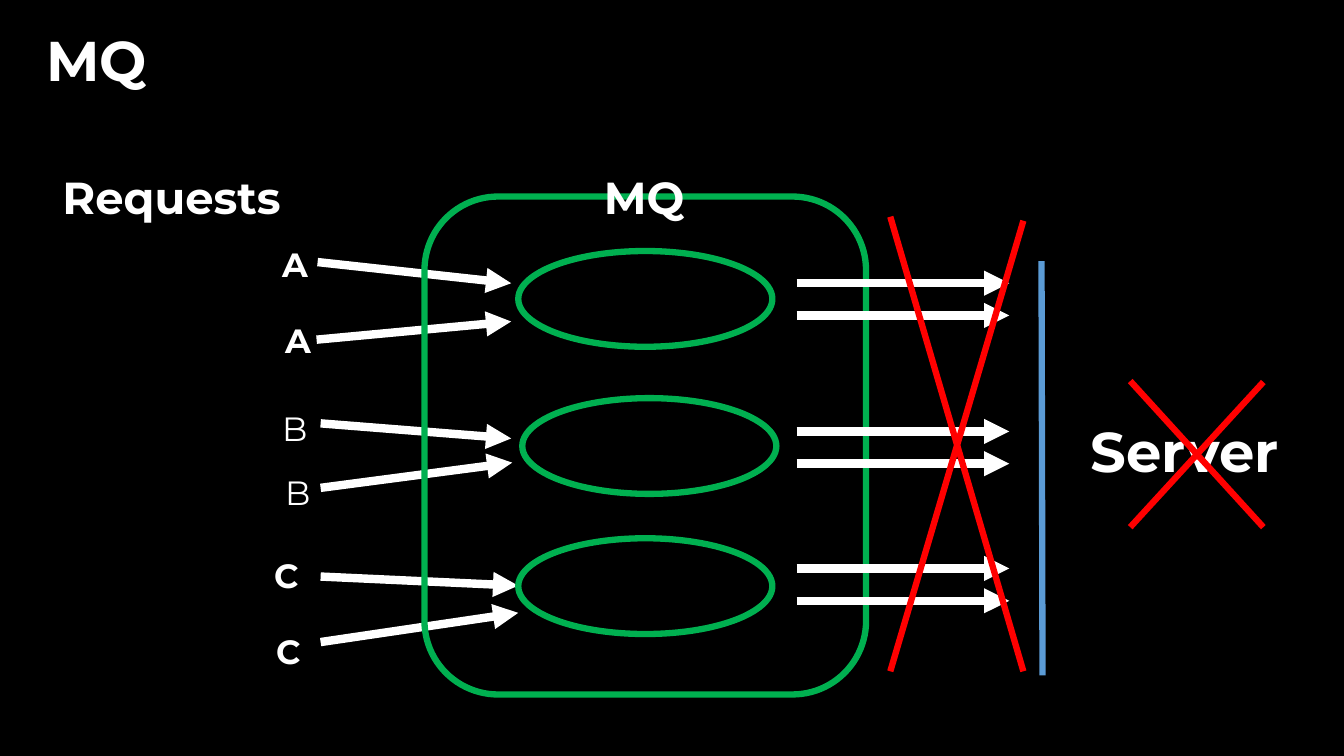
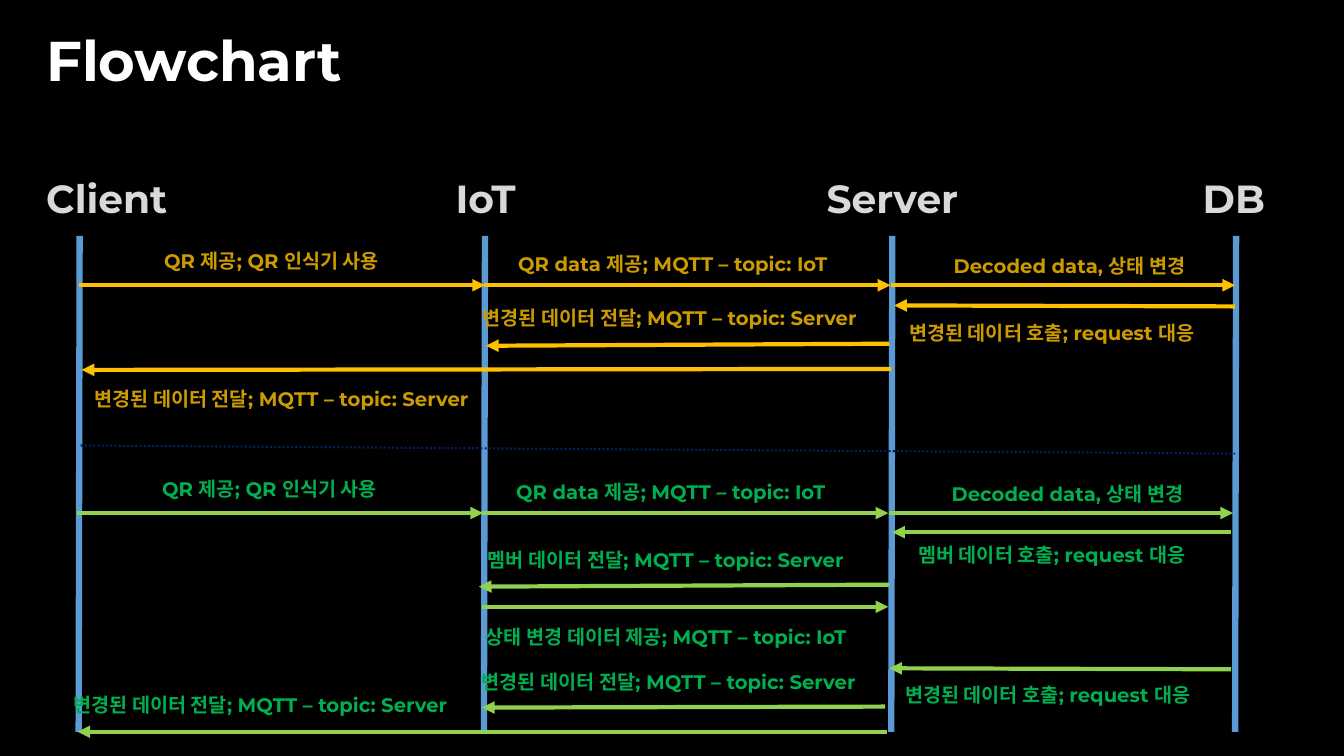
from pptx import Presentation
from pptx.dml.color import RGBColor
from pptx.enum.dml import MSO_LINE
from pptx.enum.shapes import MSO_CONNECTOR, MSO_SHAPE
from pptx.enum.text import MSO_ANCHOR, PP_ALIGN
from pptx.oxml.ns import qn
from pptx.util import Inches, Pt
from lxml import etree

STRAIGHT = MSO_CONNECTOR.STRAIGHT
ROUNDED = MSO_SHAPE.ROUNDED_RECTANGLE
ELLIPSE = MSO_SHAPE.OVAL
DOTTED = MSO_LINE.ROUND_DOT
LEFT = PP_ALIGN.LEFT
TOP = MSO_ANCHOR.TOP

FONT = "Montserrat"
TITLE_ONLY = 5
COLORS = {
    "background": "000000",
    "white": "FFFFFF",
    "heading": "D9D9D9",
    "blue": "5B9BD5",
    "navy": "002060",
    "green": "00B050",
    "red": "FF0000",
    "amber": "FFC000",
    "dark_amber": "CC9B00",
    "lime": "92D050",
}
DELIVERED = "변경된 데이터 전달; MQTT – topic: Server"
CALLED = "변경된 데이터 호출; request 대응"


def color(name):
    return RGBColor.from_string(COLORS[name])


def write(shape, text, size, color_name, bold=True):
    frame = shape.text_frame
    frame.word_wrap = True
    frame.vertical_anchor = TOP
    frame.text = text
    paragraph = frame.paragraphs[0]
    paragraph.alignment = LEFT
    font = paragraph.runs[0].font
    font.name = FONT
    font.size = Pt(size)
    font.bold = bold
    font.color.rgb = color(color_name)


def add_label(slide, text, left, top, width, height, size, color_name, bold=True):
    box = slide.shapes.add_textbox(Inches(left), Inches(top), Inches(width), Inches(height))
    write(box, text, size, color_name, bold)


def add_line(slide, start, end, color_name, width, arrow=False, dash=None):
    connector = slide.shapes.add_connector(
        STRAIGHT, *(Inches(value) for value in (*start, *end)))
    connector.line.color.rgb = color(color_name)
    connector.line.width = Pt(width)
    if dash is not None:
        connector.line.dash_style = dash
    properties = connector.element.spPr
    if arrow:
        outline = properties.find(qn("a:ln"))
        etree.SubElement(outline, qn("a:tailEnd"), type="triangle")
    etree.SubElement(properties, qn("a:effectLst"))


def add_outline(slide, kind, left, top, width, height):
    shape = slide.shapes.add_shape(
        kind, Inches(left), Inches(top), Inches(width), Inches(height))
    shape.shadow.inherit = False
    shape.fill.background()
    shape.line.color.rgb = color("green")
    shape.line.width = Pt(4.5)


def add_cross(slide, left, top, right, bottom, drop):
    falling, rising = drop
    add_line(slide, (right, top + rising), (left, bottom), "red", 4.5)
    add_line(slide, (left, top + falling), (right, bottom), "red", 4.5)


def add_titled_slide(presentation, title):
    slide = presentation.slides.add_slide(presentation.slide_layouts[TITLE_ONLY])
    write(slide.shapes.title, title, 40, "white")
    return slide


def set_template(presentation):
    presentation.slide_width = Inches(13.33)
    presentation.slide_height = Inches(7.5)
    fill = presentation.slide_master.background.fill
    fill.solid()
    fill.fore_color.rgb = color("background")
    title = presentation.slide_layouts[TITLE_ONLY].placeholders[0]
    title.left, title.top = Inches(0.36), Inches(0.2)
    title.width, title.height = Inches(3.41), Inches(0.77)


def build_queue_slide(presentation):
    slide = add_titled_slide(presentation, "MQ")

    requests = [
        ("A", 2.7, 2.37, (3.15, 2.6), (5.07, 2.81)),
        ("A", 2.73, 3.12, (3.14, 3.37), (5.07, 3.19)),
        ("B", 2.7, 4, (3.18, 4.2), (5.07, 4.35)),
        ("B", 2.73, 4.63, (3.18, 4.84), (5.08, 4.59)),
        ("C", 2.62, 5.46, (3.18, 5.72), (5.14, 5.81)),
        ("C", 2.64, 6.21, (3.18, 6.37), (5.14, 6.08)),
    ]
    for name, left, top, start, end in requests:
        add_line(slide, start, end, "white", 6, arrow=True)
        add_label(slide, name, left, top, 0.41, 0.5, 24, "white", bold=name != "B")

    add_label(slide, "Requests", 0.52, 1.63, 3.18, 0.64, 32, "white")
    add_label(slide, "Server", 10.72, 4.08, 2.52, 0.77, 40, "white")
    add_line(slide, (10.33, 2.59), (10.34, 6.7), "blue", 4.5)

    add_outline(slide, ROUNDED, 4.21, 1.95, 4.38, 4.94)
    add_label(slide, "MQ", 5.89, 1.63, 1.02, 0.64, 32, "white")
    queues = [(5.14, 2.49, 2.81), (5.18, 3.95, 4.28), (5.14, 5.34, 5.64)]
    for left, top, arrow_top in queues:
        add_outline(slide, ELLIPSE, left, top, 2.52, 0.95)
        for y in (arrow_top, arrow_top + 0.32):
            add_line(slide, (7.9, y), (10.01, y), "white", 6, arrow=True)

    add_cross(slide, 11.21, 3.78, 12.53, 5.23, (0, 0.01))
    add_cross(slide, 8.83, 2.15, 10.15, 6.66, (0, 0.04))


def add_messages(slide, arrows, labels, line_color, text_color):
    for start, end in arrows:
        add_line(slide, start, end, line_color, 3, arrow=True)
    for text, left, top, width in labels:
        add_label(slide, text, left, top, width, 0.34, 14, text_color)


def add_forward_messages(slide, shift, drop, line_color, text_color):
    y = 2.83 + drop
    spans = [(0.78, 4.81), (4.8, 8.83), (8.84, 12.25)]
    arrows = [((start + shift, y), (end + shift, y)) for start, end in spans]
    labels = [
        ("QR 제공; QR 인식기 사용", 1.53 + shift, 2.42 + drop, 3.29),
        ("QR data 제공; MQTT – topic: IoT", 5.04 + shift, 2.45 + drop, 3.97),
        ("Decoded data, 상태 변경", 9.36 + shift, 2.47 + drop, 2.74),
    ]
    add_messages(slide, arrows, labels, line_color, text_color)


def build_flowchart_slide(presentation):
    slide = add_titled_slide(presentation, "Flowchart")

    participants = [
        ("Client", 0.36, 1.73, 0.79),
        ("IoT", 4.42, 1.04, 4.81),
        ("Server", 8.1, 1.76, 8.85),
        ("DB", 11.83, 0.88, 12.26),
    ]
    for name, left, width, x in participants:
        add_label(slide, name, left, 1.68, width, 0.57, 28, "heading")
        add_line(slide, (x, 2.34), (x - 0.01, 7.26), "blue", 4.5)

    amber_arrows = [
        ((12.25, 3.04), (8.87, 3.03)),
        ((8.82, 3.41), (4.82, 3.43)),
        ((8.84, 3.66), (0.81, 3.67)),
    ]
    amber_labels = [
        (CALLED, 8.92, 3.13, 3.34),
        (DELIVERED, 4.69, 2.99, 4.26),
        (DELIVERED, 0.84, 3.79, 4.26),
    ]
    add_forward_messages(slide, 0, 0, "amber", "dark_amber")
    add_messages(slide, amber_arrows, amber_labels, "amber", "dark_amber")

    add_line(slide, (0.8, 4.42), (12.25, 4.5), "navy", 1.5, dash=DOTTED)

    green_arrows = [
        ((12.21, 5.28), (8.85, 5.28)),
        ((8.82, 5.8), (4.75, 5.82)),
        ((4.78, 6.02), (8.81, 6.02)),
        ((12.21, 6.64), (8.82, 6.63)),
        ((8.78, 7.01), (4.78, 7.02)),
        ((8.8, 7.26), (0.77, 7.26)),
    ]
    green_labels = [
        ("멤버 데이터 호출; request 대응", 9.01, 5.34, 3.34),
        ("멤버 데이터 전달; MQTT – topic: Server", 4.74, 5.39, 4.06),
        ("상태 변경 데이터 제공; MQTT – topic: IoT", 4.72, 6.15, 4.18),
        (CALLED, 8.88, 6.73, 3.34),
        (DELIVERED, 4.68, 6.6, 4.26),
        (DELIVERED, 0.63, 6.83, 4.26),
    ]
    add_forward_messages(slide, -0.02, 2.26, "lime", "green")
    add_messages(slide, green_arrows, green_labels, "lime", "green")


def main():
    presentation = Presentation()
    set_template(presentation)
    build_queue_slide(presentation)
    build_flowchart_slide(presentation)
    presentation.save("out.pptx")


main()
